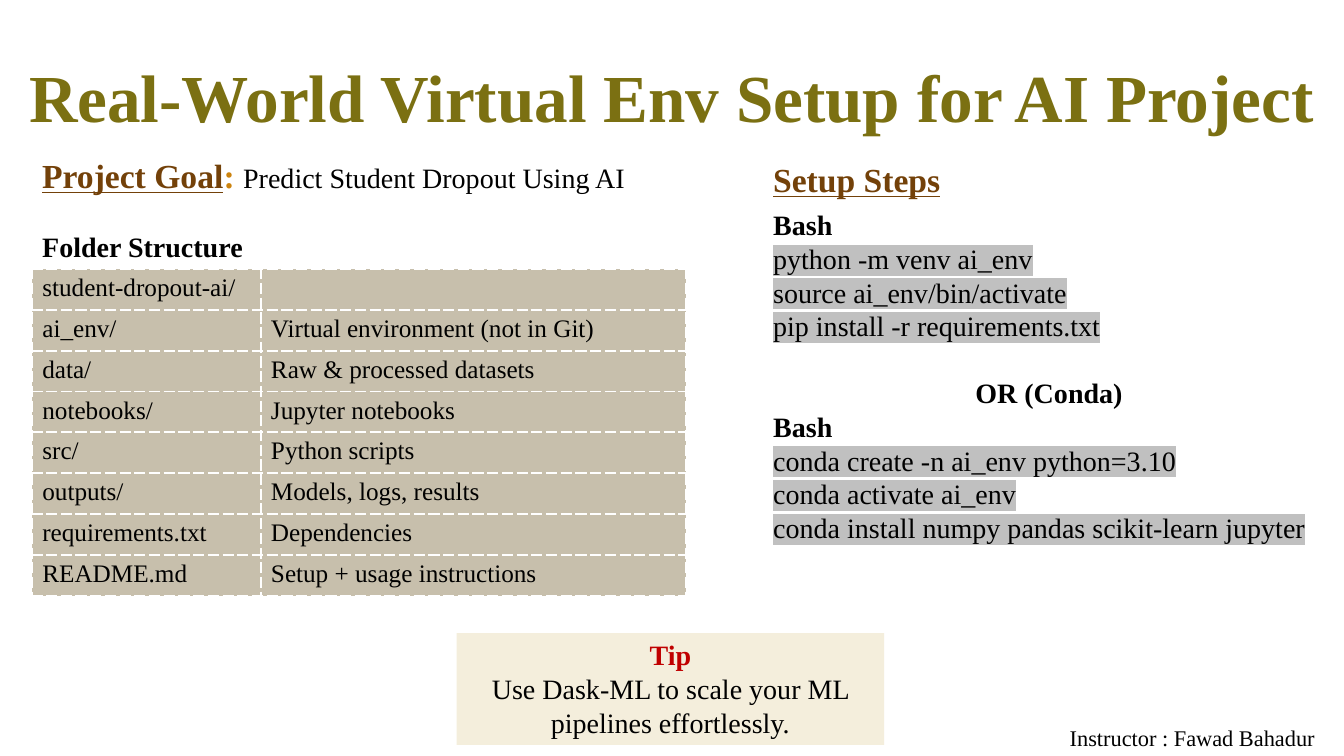
from lxml.etree import SubElement
from pptx import Presentation
from pptx.dml.color import RGBColor
from pptx.enum.shapes import MSO_SHAPE
from pptx.enum.text import MSO_ANCHOR, MSO_AUTO_SIZE, PP_ALIGN
from pptx.oxml import parse_xml
from pptx.oxml.ns import nsdecls, qn
from pptx.util import Inches, Pt

SLIDE_WIDTH, SLIDE_HEIGHT = Inches(13.33), Inches(7.5)
FONT = "Times New Roman"
BLACK, BROWN, OLIVE, RED = "000000", "734109", "7B7012", "C00000"
ORANGE, SAND, CREAM, SILVER = "CC830E", "C7BFAC", "F4EEDC", "C0C0C0"
LEFT, CENTER, JUSTIFY = PP_ALIGN.LEFT, PP_ALIGN.CENTER, PP_ALIGN.JUSTIFY

BODY = {"size": Pt(20), "color": BLACK}
STRONG = BODY | {"bold": True}
CODE = BODY | {"highlight": SILVER}
HEADING = {"size": Pt(24), "color": BROWN, "bold": True, "underline": True, "outline": True}
BLANK_LINE = Pt(24)

FOLDERS = [
    ("student-dropout-ai/", ""),
    ("ai_env/", "Virtual environment (not in Git)"),
    ("data/", "Raw & processed datasets"),
    ("notebooks/", "Jupyter notebooks"),
    ("src/", "Python scripts"),
    ("outputs/", "Models, logs, results"),
    ("requirements.txt", "Dependencies"),
    ("README.md", "Setup + usage instructions"),
]
VENV_COMMANDS = ["python -m venv ai_env", "source ai_env/bin/activate",
                 "pip install -r requirements.txt"]
CONDA_COMMANDS = ["conda create -n ai_env python=3.10", "conda activate ai_env",
                  "conda install numpy pandas scikit-learn jupyter"]


def rgb(hex_color):
    return RGBColor.from_string(hex_color)


def share(left, top, width, height):
    """Turn percentages of the slide into a box of lengths."""
    return (int(SLIDE_WIDTH * left / 100), int(SLIDE_HEIGHT * top / 100),
            int(SLIDE_WIDTH * width / 100), int(SLIDE_HEIGHT * height / 100))


def add_outline(properties):
    properties.insert(0, parse_xml(
        f'<a:ln w="9525" {nsdecls("a")}><a:solidFill><a:srgbClr val="404040">'
        '<a:alpha val="10000"/></a:srgbClr></a:solidFill><a:prstDash val="solid"/></a:ln>'))


def add_after_fill(properties, xml):
    properties.find(qn("a:solidFill")).addnext(parse_xml(xml))


def add_run(paragraph, text, color, outline=False, shadow=False, highlight=None, **font_values):
    run = paragraph.add_run()
    run.text = text
    for name, value in ({"name": FONT} | font_values).items():
        setattr(run.font, name, value)
    run.font.color.rgb = rgb(color)
    properties = run.font._element
    if highlight:
        add_after_fill(properties, f'<a:highlight {nsdecls("a")}>'
                                   f'<a:srgbClr val="{highlight}"/></a:highlight>')
    if shadow:
        add_after_fill(properties, f'<a:effectLst {nsdecls("a")}>'
                                   '<a:outerShdw blurRad="38100" dist="38100" dir="2700000">'
                                   '<a:srgbClr val="000000"><a:alpha val="43000"/></a:srgbClr>'
                                   '</a:outerShdw></a:effectLst>')
    if outline:
        add_outline(properties)


def fill_text(frame, paragraphs):
    """Write (runs, paragraph values) pairs, each run being (text, format)."""
    frame.word_wrap = True
    for index, (runs, values) in enumerate(paragraphs):
        paragraph = frame.add_paragraph() if index else frame.paragraphs[0]
        for name, value in values.items():
            setattr(paragraph, name, value)
        for text, style in runs:
            add_run(paragraph, text, **style)


def add_text(slide, box, paragraphs):
    frame = slide.shapes.add_textbox(*box).text_frame
    fill_text(frame, paragraphs)
    return frame


def add_title(slide, box):
    style = {"size": Pt(48), "color": OLIVE, "bold": True, "outline": True, "shadow": True}
    frame = add_text(slide, box, [([("Real-World Virtual Env Setup for AI Project", style)],
                                   {"alignment": CENTER, "line_spacing": 0.9})])
    frame.vertical_anchor = MSO_ANCHOR.BOTTOM


def add_instructor(slide, box):
    style = {"size": Pt(16), "color": BLACK, "outline": True, "shadow": True}
    add_text(slide, box, [([("Instructor : Fawad Bahadur", style)],
                           {"alignment": CENTER, "line_spacing": 1.1})])


def add_goal(slide, box):
    colon = {"size": Pt(24), "color": ORANGE, "bold": True}
    goal = [("Project Goal", HEADING), (": ", colon), ("Predict Student Dropout Using AI", BODY)]
    add_text(slide, box, [
        (goal, {"alignment": JUSTIFY}),
        ([("Folder Structure", STRONG)], {"alignment": JUSTIFY, "space_before": BLANK_LINE}),
    ])


def add_borders(cell):
    properties = cell._tc.get_or_add_tcPr()
    for position, side in enumerate(("lnL", "lnR", "lnT", "lnB")):
        properties.insert(position, parse_xml(
            f'<a:{side} w="19050" {nsdecls("a")}><a:solidFill><a:srgbClr val="FFFFFF"/>'
            f'</a:solidFill><a:prstDash val="sysDash"/></a:{side}>'))


def add_folder_table(slide, box):
    left, top, width, height = box
    table = slide.shapes.add_table(len(FOLDERS), 2, left, top, width, height).table
    table.first_row = table.horz_banding = False
    name_width = int(width * 0.35)
    table.columns[0].width, table.columns[1].width = name_width, width - name_width
    style = {"size": Pt(18), "color": BLACK}
    for row, texts in enumerate(FOLDERS):
        for column, text in enumerate(texts):
            cell = table.cell(row, column)
            cell.fill.solid()
            cell.fill.fore_color.rgb = rgb(SAND)
            add_borders(cell)
            if text:
                fill_text(cell.text_frame, [([(text, style)], {})])


def command_block(commands):
    return [([("Bash", STRONG)], {"alignment": JUSTIFY})] + [
        ([(command, CODE)], {"alignment": JUSTIFY}) for command in commands]


def add_setup_steps(slide, box):
    add_text(slide, box, [
        ([("Setup Steps", HEADING)],
         {"alignment": LEFT, "line_spacing": 1.1, "space_after": Pt(6)}),
        *command_block(VENV_COMMANDS),
        ([("OR (Conda)", STRONG)], {"alignment": CENTER, "space_before": BLANK_LINE}),
        *command_block(CONDA_COMMANDS),
    ])


def add_tip(slide, box):
    panel = slide.shapes.add_shape(MSO_SHAPE.RECTANGLE, *box)
    panel.shadow.inherit = False
    panel.fill.solid()
    panel.fill.fore_color.rgb = rgb(CREAM)
    panel.line.fill.background()
    panel.text_frame.vertical_anchor = MSO_ANCHOR.TOP
    panel.text_frame.auto_size = MSO_AUTO_SIZE.SHAPE_TO_FIT_TEXT
    fill_text(panel.text_frame, [
        ([("Tip", STRONG | {"color": RED})], {"alignment": CENTER}),
        ([("Use Dask-ML to scale your ML pipelines effortlessly.", BODY)], {"alignment": CENTER}),
    ])


def main():
    deck = Presentation()
    deck.slide_width, deck.slide_height = SLIDE_WIDTH, SLIDE_HEIGHT
    slide = deck.slides.add_slide(deck.slide_layouts[6])
    add_title(slide, share(0, 1.47, 100, 17.33))
    add_instructor(slide, share(77.42, 94.8, 22.58, 5.2))
    add_goal(slide, share(2.4, 19.87, 51.39, 15.73))
    add_folder_table(slide, share(2.4, 35.6, 48.61, 43.2))
    add_setup_steps(slide, share(56.79, 19.87, 42.53, 53.33))
    add_tip(slide, share(33.98, 83.73, 31.81, 14.8))
    deck.save("out.pptx")


if __name__ == "__main__":
    main()
